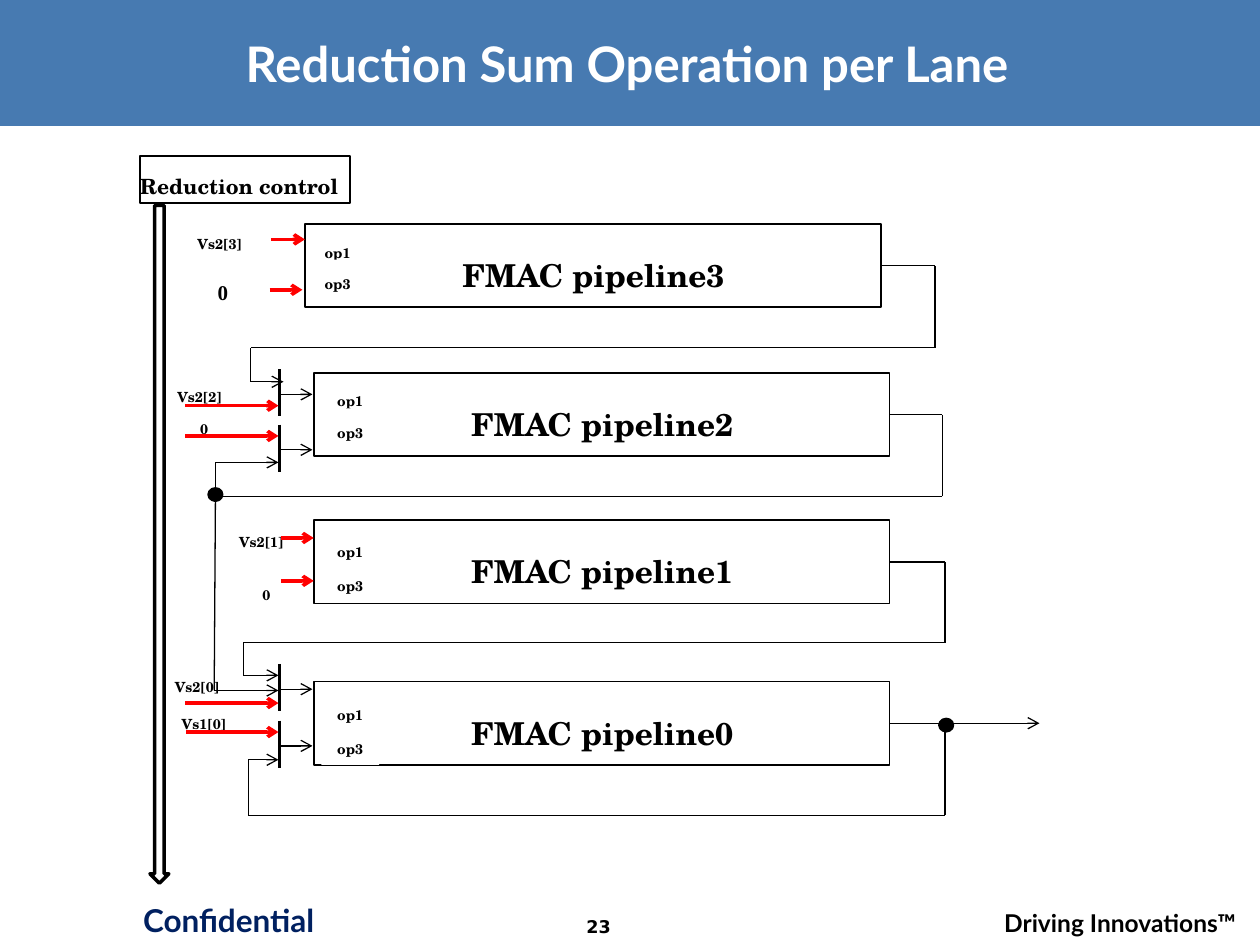
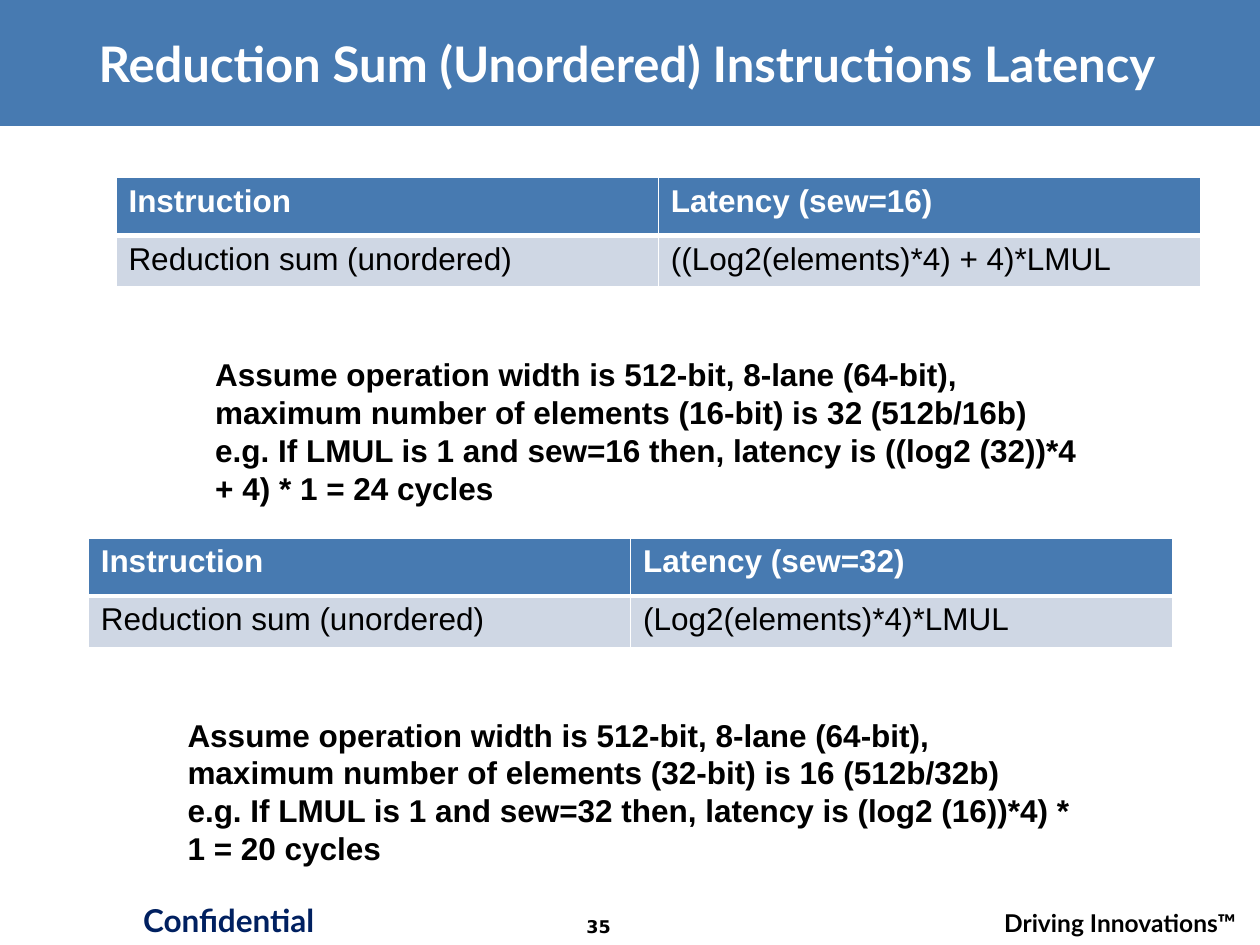
from dataclasses import dataclass
from itertools import pairwise

from lxml.etree import SubElement
from pptx import Presentation
from pptx.dml.color import RGBColor
from pptx.enum.shapes import MSO_CONNECTOR, MSO_SHAPE
from pptx.enum.text import MSO_ANCHOR, PP_ALIGN
from pptx.oxml.ns import qn
from pptx.util import Inches, Pt


@dataclass(frozen=True)
class Theme:
    blue: str = "477AB1"
    navy: str = "002060"
    pale: str = "CFD7E4"
    red: str = "FF0000"
    black: str = "000000"
    white: str = "FFFFFF"
    head: str = "Lato"
    body: str = "Arial"
    page: str = "DejaVu Sans"
    serif: str = "TeX Gyre Schola"
    zero: str = "Times New Roman"
    title: int = 28
    text: int = 18
    tag: int = 14
    note: int = 12
    num: int = 10
    small: int = 8


T = Theme()
WIDE, HIGH = Inches(10), Inches(7.5)
COLS = 100                      # square grid: 100 columns by 75 rows
CELL = WIDE // COLS
LEFT, MID, RIGHT = PP_ALIGN.LEFT, PP_ALIGN.CENTER, PP_ALIGN.RIGHT

# ---- Content; places are in grid columns and rows ----
FOOT = [  # text, place, size, font, colour, alignment
    ("Confidential", (9.4, 71, 17.5, 4.2), T.text, T.head, T.navy, MID),
    ("Driving Innovations™", (75.4, 71.6, 23.7, 2.7), T.tag, T.head, T.black, RIGHT),
]
PAGE = (42.9, 72.2, 9.2, 2.8)

LANE_TITLE, LANE_PAGE = "Reduction Sum Operation per Lane", "23"
PIPE = (45.7, 6.6)
STAGES = [  # name, left, top, op offsets (x, y1, y2), return wire (turn x, bus y, back x, end x, end y)
    ("FMAC pipeline3", 24.2, 17.8, (0.3, 0.3, 2.8), (74.2, 27.6, 19.9, 22.5, 30.3)),
    ("FMAC pipeline2", 24.9, 29.6, (0.6, 0.3, 2.8), (74.8, 39.4, 17.1, 22.1, 36.7)),
    ("FMAC pipeline1", 24.9, 41.3, (0.6, 0.6, 3.3), (75, 51, 19.3, 22.1, 53.6)),
    ("FMAC pipeline0", 24.9, 54.1, (0.6, 0.7, 3.4), (75, 64.7, 19.7, 22.1, 60.3)),
]
OPS = ("op1", "op3")
INPUTS = [  # text, left, top, width
    ("Vs1[0]", 12.6, 55.5, 7.2),
    ("Vs2[0]", 12.8, 52.6, 5.7),
    ("0", 18.3, 45.3, 5.7),
    ("Vs2[1]", 17.9, 41.1, 5.7),
    ("Vs2[2]", 13, 29.6, 5.7),
    ("0", 13, 32.1, 6.4),
    ("Vs2[3]", 14.6, 17.4, 5.7),
]
FEEDS = [  # red arrows: from x, to x, y
    (21.5, 24.2, 19), (21.4, 24, 23),
    (14.7, 22.1, 32.2), (14.7, 22.1, 34.6),
    (22.3, 24.9, 42.7), (22.3, 24.9, 46.1),
    (14.7, 22.1, 55.8), (14.8, 22.1, 58.1),
]
MUXES = [29.3, 33.7, 52.7, 57.2]
MUX_X, MUX_H, LABEL_H = 22.2, 3.75, 3.2
BRANCH = [(17.1, 39.4), (17, 54.8), (22.1, 54.8)]
RESULT = [(75, 57.4), (82.5, 57.4)]
DOTS = [(16.6, 38.8), (74.6, 57.1)]

SUM_TITLE, SUM_PAGE = "Reduction Sum (Unordered) Instructions Latency", "35"
CASES = [  # left, top, table rows, notes
    (9.2, 14.1,
     [("Instruction", "Latency (sew=16)"),
      ("Reduction sum (unordered)", "((Log2(elements)*4) + 4)*LMUL")],
     ["Assume operation width is 512-bit, 8-lane (64-bit), maximum number of "
      "elements (16-bit) is 32 (512b/16b)",
      "e.g. If LMUL is 1 and sew=16 then, latency is ((log2 (32))*4 + 4) * 1 = 24 cycles"]),
    (7, 42.7,
     [("Instruction", "Latency (sew=32)"),
      ("Reduction sum (unordered)", "(Log2(elements)*4)*LMUL")],
     ["Assume operation width is 512-bit, 8-lane (64-bit), maximum number of "
      "elements (32-bit) is 16 (512b/32b)",
      "e.g. If LMUL is 1 and sew=32 then, latency is (log2 (16))*4) * 1 = 20 cycles"]),
]
ROWS, COL_W = (4.6, 4.1), 43.05
NOTE = (6.9, 13.6, 72.4, 13.1)  # offset from the table, then size


# ---- Tools ----
def grid(*vals):
    return [round(v * CELL) for v in vals]


def rgb(hue):
    return RGBColor.from_string(hue)


def write(para, text, size, font, hue, bold=True):
    run = para.add_run()
    run.text = text
    run.font.size, run.font.name, run.font.bold = Pt(size), font, bold
    run.font.color.rgb = rgb(hue)
    return run


def text_box(slide, place, lines, size, font, hue, align=LEFT, anchor=MSO_ANCHOR.TOP):
    """Add a wrapped text box and return its last run."""
    frame = slide.shapes.add_textbox(*grid(*place)).text_frame
    frame.word_wrap, frame.vertical_anchor = True, anchor
    for i, line in enumerate(lines):
        para = frame.add_paragraph() if i else frame.paragraphs[0]
        para.alignment = align
        run = write(para, line, size, font, hue)
    return run


def shape(slide, kind, place, fill=None, line=None, width=1):
    item = slide.shapes.add_shape(kind, *grid(*place))
    item.shadow.inherit = False
    if fill:
        item.fill.solid()
        item.fill.fore_color.rgb = rgb(fill)
    else:
        item.fill.background()
    if line:
        item.line.color.rgb = rgb(line)
        item.line.width = Pt(width)
    else:
        item.line.fill.background()
    return item


def block(slide, place, text, size, font=T.serif, line=None, align=MID, indent=0):
    """Add a white box holding one line of bold text."""
    box = shape(slide, MSO_SHAPE.RECTANGLE, place, T.white, line)
    frame = box.text_frame
    frame.word_wrap, frame.vertical_anchor = True, MSO_ANCHOR.MIDDLE
    frame.margin_left = frame.margin_right = 0
    para = frame.paragraphs[0]
    para.alignment, para.line_spacing = align, 1.5
    if indent:
        para._p.get_or_add_pPr().set("indent", str(grid(indent)[0]))
    write(para, text, size, font, T.black)
    return box


def wire(slide, points, hue=T.black, width=0.75, arrow=True, start=None):
    """Draw straight legs through the points; start is a box left by its right side."""
    legs = list(pairwise(points))
    for i, (a, b) in enumerate(legs):
        leg = slide.shapes.add_connector(MSO_CONNECTOR.STRAIGHT, *grid(*a, *b))
        leg.line.color.rgb = rgb(hue)
        leg.line.width = Pt(width)
        if start is not None and i == 0:
            leg.begin_connect(start, 3)
        if arrow and i == len(legs) - 1:
            SubElement(leg.line._get_or_add_ln(), qn("a:tailEnd"), type="arrow")
        SubElement(leg._element.spPr, qn("a:effectLst"))


def shade(run):
    """Give a run a hard black shadow to the lower right."""
    props = run._r.get_or_add_rPr()
    effect = props.makeelement(qn("a:effectLst"))
    props.find(qn("a:solidFill")).addnext(effect)
    drop = SubElement(effect, qn("a:outerShdw"), dist="38100", dir="2700000", algn="tl")
    SubElement(drop, qn("a:srgbClr"), val=T.black)


def edge(cell, top, base):
    """Draw white cell borders, with the given top and bottom widths."""
    props = cell._tc.get_or_add_tcPr()
    for i, (side, width) in enumerate((("L", 1), ("R", 1), ("T", top), ("B", base))):
        line = props.makeelement(qn(f"a:ln{side}"), {"w": str(Pt(width))})
        fill = SubElement(line, qn("a:solidFill"))
        SubElement(fill, qn("a:srgbClr"), val=T.white)
        props.insert(i, line)


def table(slide, left, top, data):
    wide = COL_W * len(data[0])
    frame = slide.shapes.add_table(len(data), len(data[0]), *grid(left, top, wide, sum(ROWS)))
    tab = frame.table
    for col in tab.columns:
        col.width = grid(COL_W)[0]
    for r, row in enumerate(data):
        tab.rows[r].height = grid(ROWS[r])[0]
        head = r == 0
        for c, text in enumerate(row):
            cell = tab.cell(r, c)
            cell.fill.solid()
            cell.fill.fore_color.rgb = rgb(T.blue if head else T.pale)
            edge(cell, 1 if head else 3, 3 if head else 1)
            write(cell.text_frame.paragraphs[0], text, T.text, T.body,
                  T.white if head else T.black, head)


def new_slide(deck, title, page):
    slide = deck.slides.add_slide(deck.slide_layouts[6])
    shape(slide, MSO_SHAPE.RECTANGLE, (0, 0, COLS, 10), T.blue)
    for text, place, *style in FOOT:
        text_box(slide, place, [text], *style)
    text_box(slide, PAGE, [page], T.num, T.page, T.black, MID)
    shade(text_box(slide, (2.2, 1.7, 95.1, 6.6), [title], T.title, T.head,
                   T.white, MID, MSO_ANCHOR.MIDDLE))
    return slide


# ---- Slides ----
def lane_slide(deck):
    slide = new_slide(deck, LANE_TITLE, LANE_PAGE)
    for text, x, y, wide in INPUTS:
        block(slide, (x, y, wide, LABEL_H), text, T.small)
    block(slide, (14.2, 21.1, 7, LABEL_H), "0", T.note, T.zero)
    wide, high = PIPE
    for name, x, y, (dx, *drops), (turn, bus, back, end, low) in STAGES:
        pipe = block(slide, (x, y, wide, high), name, T.text,
                     line=T.black, align=LEFT, indent=12.5)
        for op, dy in zip(OPS, drops):
            block(slide, (x + dx, y + dy, 4.6, LABEL_H), op, T.small)
        mid = y + high / 2
        wire(slide, [(x + wide, mid), (turn, mid), (turn, bus), (back, bus),
                     (back, low), (end, low)], start=pipe)
    for y in MUXES:
        wire(slide, [(MUX_X, y), (MUX_X, y + MUX_H)], width=1.75, arrow=False)
        wire(slide, [(MUX_X, y + 2), (24.8, y + 2)])
    for x1, x2, y in FEEDS:
        wire(slide, [(x1, y), (x2, y)], T.red, 2)
    wire(slide, BRANCH)
    wire(slide, RESULT)
    for x, y in DOTS:
        shape(slide, MSO_SHAPE.OVAL, (x, y, 1, 0.9), T.black, T.black, 2)
    block(slide, (11.1, 12.4, 16.7, 3.7), "Reduction control", T.note,
          line=T.black, align=LEFT)
    shape(slide, MSO_SHAPE.DOWN_ARROW, (11.9, 16.3, 1.5, 53.8), None, T.black, 2)


def sum_slide(deck):
    slide = new_slide(deck, SUM_TITLE, SUM_PAGE)
    dx, dy, wide, high = NOTE
    for x, y, data, notes in CASES:
        table(slide, x, y, data)
        text_box(slide, (x + dx, y + dy, wide, high), notes, T.text, T.body, T.black)


def main():
    deck = Presentation()
    deck.slide_width, deck.slide_height = WIDE, HIGH
    lane_slide(deck)
    sum_slide(deck)
    deck.save("out.pptx")


if __name__ == "__main__":
    main()
